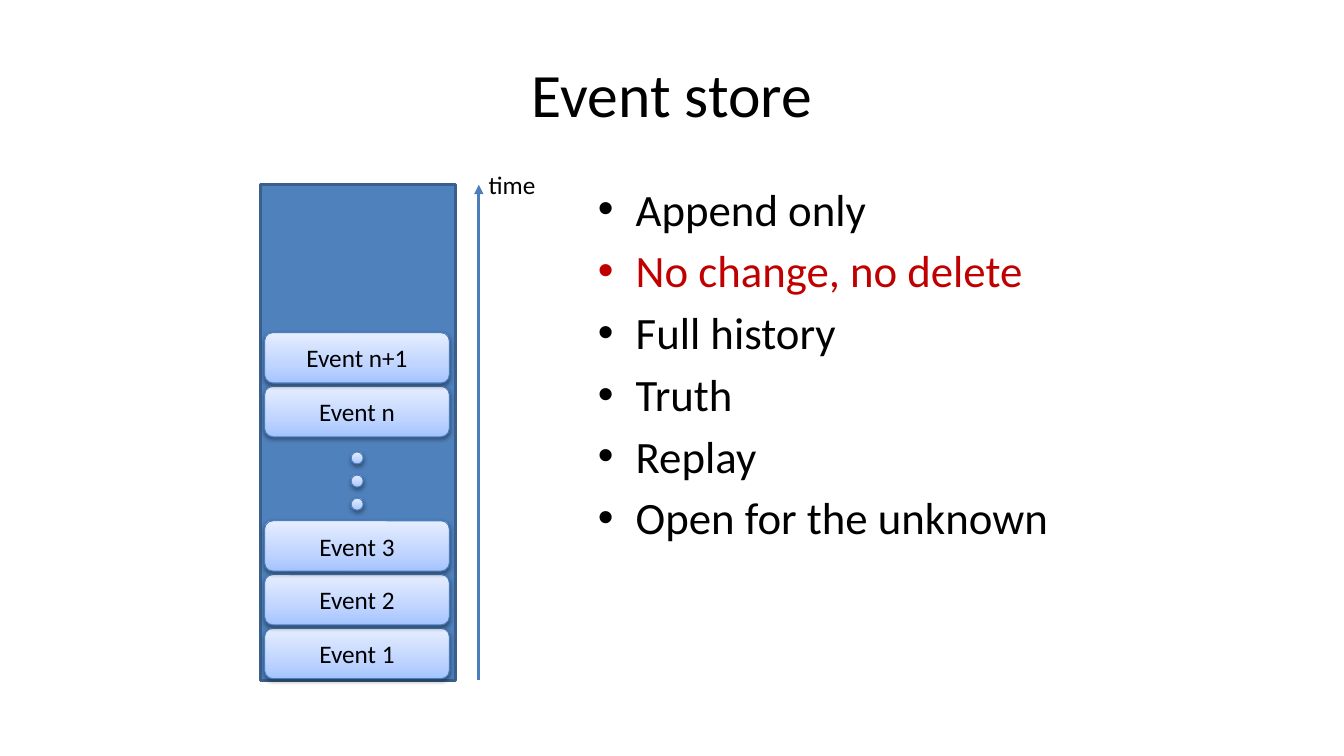
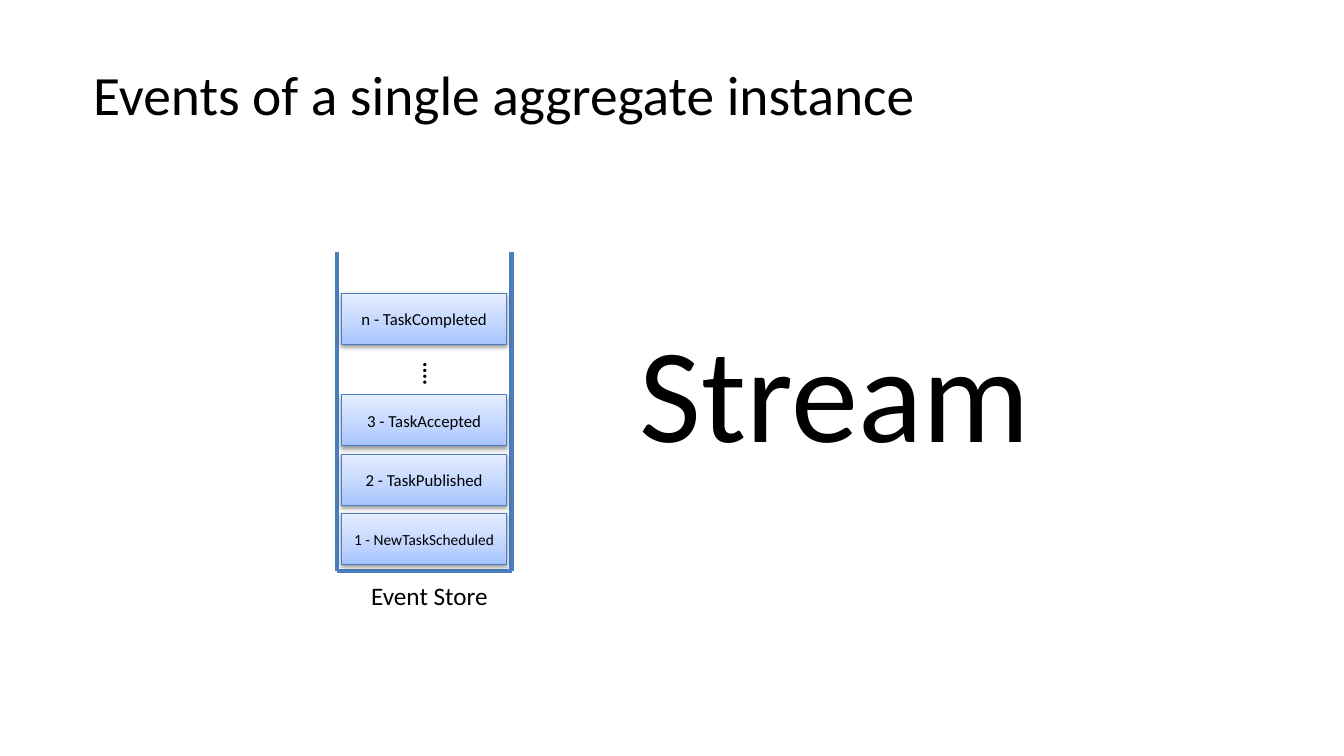
from dataclasses import dataclass

import lxml.etree
import pptx
import pptx.dml.color
import pptx.enum.shapes
import pptx.enum.text
import pptx.oxml.ns
import pptx.presentation
import pptx.shapes.autoshape
import pptx.shapes.connector
import pptx.slide
import pptx.text.text
import pptx.util

SHAPE = pptx.enum.shapes.MSO_SHAPE
ALIGN = pptx.enum.text.PP_ALIGN
ANCHOR = pptx.enum.text.MSO_ANCHOR
qn = pptx.oxml.ns.qn

SLIDE_WIDTH = pptx.util.Inches(13.33)
SLIDE_HEIGHT = pptx.util.Inches(7.5)
COLUMNS, ROWS = 160, 90


@dataclass(frozen=True)
class Theme:
    font: str = "Calibri"
    ink: str = "000000"
    warning: str = "C00000"
    store: str = "4F81BD"
    store_edge: str = "3A5F8C"
    accent: str = "4B7EBC"
    gradient: tuple[tuple[int, str], ...] = ((0, "A4C4FF"), (35, "BFD4FF"), (100, "E6EEFF"))
    title: float = 44
    long_title: float = 39.6
    bullet: float = 32
    bullet_gap: float = 5.7
    label: float = 18
    task: float = 12
    small_task: float = 11
    ellipsis: float = 16
    headline: float = 96
    thin: float = 0.75
    edge: float = 2
    axis: float = 2.25
    wall: float = 3


@dataclass(frozen=True)
class Area:
    column: float
    row: float
    columns: float
    rows: float

    def lengths(self) -> tuple[int, int, int, int]:
        return (across(self.column), down(self.row), across(self.columns), down(self.rows))


@dataclass(frozen=True)
class Event:
    text: str
    row: float
    size: float


@dataclass(frozen=True)
class Label:
    text: str
    area: Area
    size: float
    bold: bool = False
    wrap: bool = False


@dataclass(frozen=True)
class Bullet:
    text: str
    color: str


THEME = Theme()


def across(columns: float) -> int:
    return round(SLIDE_WIDTH * columns / COLUMNS)


def down(rows: float) -> int:
    return round(SLIDE_HEIGHT * rows / ROWS)


def rgb(color: str) -> pptx.dml.color.RGBColor:
    return pptx.dml.color.RGBColor.from_string(color)


def style_text(paragraph: pptx.text.text._Paragraph, text: str, size: float,
               color: str = THEME.ink, bold: bool = False) -> None:
    paragraph.text = text
    font = paragraph.font
    font.name = THEME.font
    font.size = pptx.util.Pt(size)
    font.bold = bold
    font.color.rgb = rgb(color)


def add_titled_slide(deck: pptx.presentation.Presentation, text: str,
                     area: Area, size: float) -> pptx.slide.Slide:
    slide = deck.slides.add_slide(deck.slide_layouts.get_by_name("Title Only"))
    title = slide.shapes.title
    title.left, title.top, title.width, title.height = area.lengths()
    title.text_frame.vertical_anchor = ANCHOR.MIDDLE
    paragraph = title.text_frame.paragraphs[0]
    paragraph.alignment = ALIGN.CENTER
    style_text(paragraph, text, size)
    return slide


def add_glossy(slide: pptx.slide.Slide, kind: SHAPE,
               area: Area) -> pptx.shapes.autoshape.Shape:
    shape = slide.shapes.add_shape(kind, *area.lengths())
    shape.fill.gradient()
    shape.fill.gradient_angle = 90
    properties = shape._element.spPr
    stops = properties.find(qn("a:gradFill")).find(qn("a:gsLst"))
    for stop in list(stops):
        stops.remove(stop)
    for position, color in THEME.gradient:
        stop = lxml.etree.SubElement(stops, qn("a:gs"), pos=str(position * 1000))
        lxml.etree.SubElement(stop, qn("a:srgbClr"), val=color)
    shape.line.color.rgb = rgb(THEME.accent)
    shape.line.width = pptx.util.Pt(THEME.thin)
    shape.shadow.inherit = False
    shadow = lxml.etree.SubElement(
        properties.find(qn("a:effectLst")), qn("a:outerShdw"),
        blurRad="40000", dist="20000", dir="5400000", rotWithShape="0")
    tint = lxml.etree.SubElement(shadow, qn("a:srgbClr"), val=THEME.ink)
    lxml.etree.SubElement(tint, qn("a:alpha"), val="38000")
    return shape


def add_event(slide: pptx.slide.Slide, kind: SHAPE, event: Event,
              column: float, columns: float, rows: float) -> None:
    shape = add_glossy(slide, kind, Area(column, event.row, columns, rows))
    shape.text_frame.vertical_anchor = ANCHOR.MIDDLE
    paragraph = shape.text_frame.paragraphs[0]
    paragraph.alignment = ALIGN.CENTER
    style_text(paragraph, event.text, event.size)


def add_line(slide: pptx.slide.Slide, start: tuple[float, float], end: tuple[float, float],
             width: float) -> pptx.shapes.connector.Connector:
    line = slide.shapes.add_connector(
        pptx.enum.shapes.MSO_CONNECTOR.STRAIGHT,
        across(start[0]), down(start[1]), across(end[0]), down(end[1]))
    line.line.color.rgb = rgb(THEME.accent)
    line.line.width = pptx.util.Pt(width)
    lxml.etree.SubElement(line._element.spPr, qn("a:effectLst"))
    return line


def add_label(slide: pptx.slide.Slide, label: Label) -> None:
    frame = slide.shapes.add_textbox(*label.area.lengths()).text_frame
    frame.word_wrap = label.wrap
    style_text(frame.paragraphs[0], label.text, label.size, bold=label.bold)


def add_bullets(slide: pptx.slide.Slide, bullets: list[Bullet], area: Area) -> None:
    frame = slide.shapes.add_textbox(*area.lengths()).text_frame
    frame.word_wrap = True
    indent = across(4.5)
    for index, bullet in enumerate(bullets):
        paragraph = frame.add_paragraph() if index else frame.paragraphs[0]
        paragraph.space_before = pptx.util.Pt(THEME.bullet_gap)
        properties = paragraph._p.get_or_add_pPr()
        properties.set("marL", str(indent))
        properties.set("indent", str(-indent))
        lxml.etree.SubElement(properties, qn("a:buFont"), typeface="Arial")
        lxml.etree.SubElement(properties, qn("a:buChar"), char="•")
        style_text(paragraph, bullet.text, THEME.bullet, bullet.color)


def build_event_store(deck: pptx.presentation.Presentation) -> None:
    slide = add_titled_slide(deck, "Event store", Area(8, 3.6, 144, 15), THEME.title)
    add_bullets(slide, [
        Bullet("Append only", THEME.ink),
        Bullet("No change, no delete", THEME.warning),
        Bullet("Full history", THEME.ink),
        Bullet("Truth", THEME.ink),
        Bullet("Replay", THEME.ink),
        Bullet("Open for the unknown", THEME.ink),
    ], Area(70, 21, 64, 59.4))

    store_area = Area(31, 22, 23.2, 59)
    store = slide.shapes.add_shape(SHAPE.RECTANGLE, *store_area.lengths())
    store.shadow.inherit = False
    store.fill.solid()
    store.fill.fore_color.rgb = rgb(THEME.store)
    store.line.color.rgb = rgb(THEME.store_edge)
    store.line.width = pptx.util.Pt(THEME.edge)

    first_row, pitch = 74.8, 6.4
    newest_row = 39.6
    oldest = [Event(f"Event {number + 1}", first_row - number * pitch, THEME.label)
              for number in range(3)]
    newest = [Event("Event n", newest_row + pitch, THEME.label),
              Event("Event n+1", newest_row, THEME.label)]
    for event in oldest + newest:
        add_event(slide, SHAPE.ROUNDED_RECTANGLE, event, 31.5, 22, 6)

    dot = 1.44
    for step in range(3):
        add_glossy(slide, SHAPE.FLOWCHART_CONNECTOR,
                   Area(41.8, 53.8 + step * 2.75, dot, dot))

    time_axis = add_line(slide, (57, 81), (57, 22), THEME.axis)
    lxml.etree.SubElement(time_axis._element.spPr.find(qn("a:ln")),
                          qn("a:tailEnd"), type="triangle")
    add_label(slide, Label("time", Area(57, 19.6, 8, 4.8), THEME.label))


def build_stream(deck: pptx.presentation.Presentation) -> None:
    slide = add_titled_slide(deck, "Events of a single aggregate instance",
                             Area(6, 3.6, 108, 15), THEME.long_title)
    first_row, pitch = 61.1, 7.05
    events = [
        Event("1 - NewTaskScheduled", first_row, THEME.small_task),
        Event("2 - TaskPublished", first_row - pitch, THEME.task),
        Event("3 - TaskAccepted", first_row - 2 * pitch, THEME.task),
        Event("n - TaskCompleted", 34.9, THEME.task),
    ]
    left, right, top, bottom = 40.1, 60.9, 30, 68
    corners = [(left, top), (left, bottom), (right, bottom), (right, top)]
    for start, end in zip(corners, corners[1:]):
        add_line(slide, start, end, THEME.wall)
    for event in events:
        add_event(slide, SHAPE.RECTANGLE, event, 40.7, 19.6, 6.1)
    for label in (
        Label("Event Store", Area(43, 68.5, 17, 4.8), THEME.label, wrap=True),
        Label("⁞", Area(49, 42, 3.2, 4.4), THEME.ellipsis, bold=True),
        Label("Stream", Area(75, 36.1, 49.3, 20.6), THEME.headline),
    ):
        add_label(slide, label)


def main() -> None:
    deck = pptx.Presentation()
    deck.slide_width = SLIDE_WIDTH
    deck.slide_height = SLIDE_HEIGHT
    build_event_store(deck)
    build_stream(deck)
    deck.save("out.pptx")


if __name__ == "__main__":
    main()
